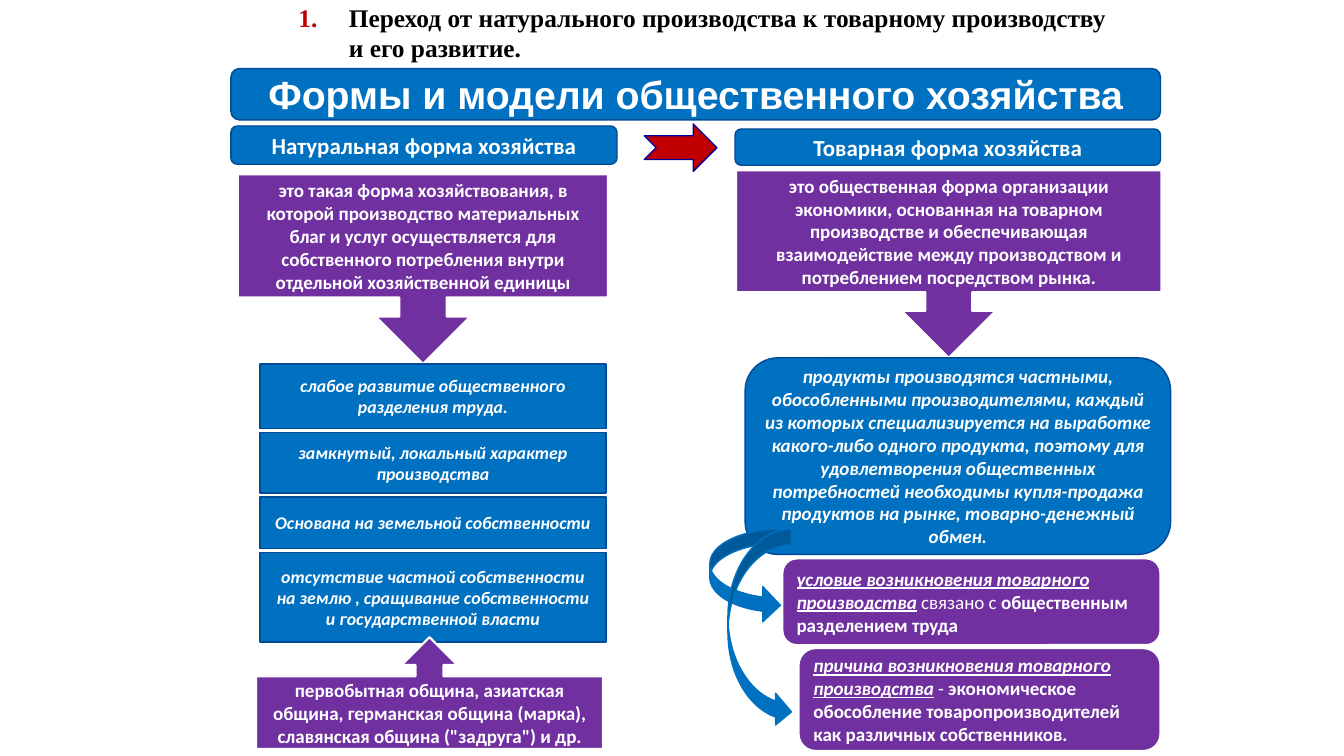
from dataclasses import dataclass

from lxml import etree
from pptx import Presentation
from pptx.dml.color import RGBColor
from pptx.enum.shapes import MSO_SHAPE
from pptx.enum.text import MSO_ANCHOR, MSO_AUTO_SIZE, PP_ALIGN
from pptx.oxml.ns import qn
from pptx.util import Inches, Pt

RECT, ROUND = MSO_SHAPE.RECTANGLE, MSO_SHAPE.ROUNDED_RECTANGLE
DOWN, UP = MSO_SHAPE.DOWN_ARROW_CALLOUT, MSO_SHAPE.UP_ARROW_CALLOUT
NOTCH, CURVE = MSO_SHAPE.NOTCHED_RIGHT_ARROW, MSO_SHAPE.CURVED_RIGHT_ARROW
LEFT, CENTER = PP_ALIGN.LEFT, PP_ALIGN.CENTER
TOP, MIDDLE = MSO_ANCHOR.TOP, MSO_ANCHOR.MIDDLE
FIXED = MSO_AUTO_SIZE.NONE


@dataclass(frozen=True)
class Theme:
    blue: str = "0070C0"
    edge: str = "004B97"
    purple: str = "7030A0"
    white: str = "FFFFFF"
    black: str = "000000"
    red: str = "C00000"
    navy: str = "000099"
    sans: str = "Calibri"
    serif: str = "Times New Roman"
    wide: str = "Arial"
    banner: float = 28
    title: float = 18.1
    head: float = 16.4
    body: float = 13.6
    small: float = 12.7


T = Theme()
BLUE = (T.blue, T.edge, 1)
PURPLE = (T.purple, T.white, 1.5)
RED = (T.red, T.navy, 1)
PLAIN = (T.blue, T.blue, 1)


def style(font, size, name=T.sans, color=T.white, bold=True, italic=False):
    font.size, font.name = Pt(size), name
    font.bold, font.italic = bold, italic
    font.color.rgb = RGBColor.from_string(color)


def block(slide, kind, box, look):
    """Draw one filled, outlined shape."""
    shape = slide.shapes.add_shape(kind, *map(Inches, box))
    fill, line, width = look
    shape.shadow.inherit = False
    shape.fill.solid()
    shape.fill.fore_color.rgb = RGBColor.from_string(fill)
    shape.line.color.rgb = RGBColor.from_string(line)
    shape.line.width = Pt(width)
    return shape


def label(slide, kind, box, look, text, size, **font):
    """Draw a shape with centred text in one style."""
    frame = block(slide, kind, box, look).text_frame
    frame.word_wrap, frame.vertical_anchor = True, MIDDLE
    par = frame.paragraphs[0]
    par.text, par.alignment = text, CENTER
    style(par.font, size, **font)


def note(slide, box, term, link, rest):
    """Draw a purple note with an underlined term, a link and a bold ending."""
    frame = block(slide, ROUND, box, PURPLE).text_frame
    frame.word_wrap, frame.vertical_anchor = True, MIDDLE
    par = frame.paragraphs[0]
    par.alignment = LEFT
    for text, bold, mark in ((term, True, True), (link, False, False),
                             (rest, True, False)):
        run = par.add_run()
        run.text = text
        style(run.font, T.body, bold=bold, italic=mark)
        run.font.underline = mark


def heading(slide, x, y, w, h):
    """Numbered slide title."""
    title = slide.shapes.title
    title.left, title.top, title.width, title.height = map(Inches, (x, y, w, h))
    frame = title.text_frame
    frame.word_wrap, frame.auto_size, frame.vertical_anchor = True, FIXED, TOP
    par = frame.paragraphs[0]
    par.text = ("Переход от натурального производства к товарному "
                "производству и его развитие.")
    par.alignment = LEFT
    props = par._p.get_or_add_pPr()
    props.set("marL", str(Inches(0.5)))
    props.set("indent", str(Inches(-0.5)))
    tint = etree.SubElement(props, qn("a:buClr"))
    etree.SubElement(tint, qn("a:srgbClr"), val=T.red)
    etree.SubElement(props, qn("a:buFont"), typeface=T.serif)
    etree.SubElement(props, qn("a:buAutoNum"), type="arabicPeriod")
    style(par.font, T.title, T.serif, T.black)


def banner(slide, x, y, w, h):
    """Topic bar and the arrow between the two forms."""
    label(slide, ROUND, (x, y, w, h), BLUE,
          "Формы и модели общественного хозяйства", T.banner, name=T.wide)
    block(slide, NOTCH, (x + 4.1, y + 0.55, 0.72, 0.47), RED)


def natural(slide, x, y, w):
    """Left column: natural economy."""
    label(slide, ROUND, (x, y, w, 0.38), BLUE,
          "Натуральная форма хозяйства", T.head)
    label(slide, DOWN, (x + 0.07, y + 0.48, w - 0.16, 1.88), PURPLE,
          "это такая форма хозяйствования, в которой производство "
          "материальных благ и услуг осуществляется для собственного "
          "потребления внутри отдельной хозяйственной единицы", T.body)

    # Stack of features with equal gaps
    top = y + 2.36
    for high, text in (
        (0.64, "слабое развитие общественного разделения труда."),
        (0.6, "замкнутый, локальный характер производства"),
        (0.51, "Основана на земельной собственности"),
        (0.89, "отсутствие частной собственности на землю , сращивание "
               "собственности и государственной власти"),
    ):
        label(slide, RECT, (x + 0.29, top, w - 0.4, high), BLUE,
              text, T.small, italic=True)
        top += high + 0.04

    label(slide, UP, (x + 0.25, y + 5.07, w - 0.39, 1.11), PURPLE,
          "первобытная община, азиатская община, германская община (марка), "
          "славянская община (\"задруга\") и др.", T.body)


def market(slide, x, y, w):
    """Right column: commodity economy."""
    label(slide, ROUND, (x, y, w, 0.36), BLUE,
          "Товарная форма хозяйства", T.head)
    label(slide, DOWN, (x + 0.01, y + 0.41, w, 1.86), PURPLE,
          "это общественная форма организации экономики, основанная на "
          "товарном производстве и обеспечивающая взаимодействие между "
          "производством и потреблением посредством рынка.", T.body)
    label(slide, ROUND, (x + 0.1, y + 2.27, w, 1.95), BLUE,
          "продукты производятся частными, обособленными производителями, "
          "каждый из которых специализируется на выработке какого-либо "
          "одного продукта, поэтому для удовлетворения общественных "
          "потребностей необходимы купля-продажа продуктов на рынке, "
          "товарно-денежный обмен.", T.body, italic=True)

    # Notes with the arrows that lead to them
    note(slide, (x + 0.47, y + 4.26, w - 0.47, 0.86),
         "условие возникновения товарного производства", " связано с ",
         "общественным разделением труда")
    short = block(slide, CURVE, (x - 0.25, y + 3.97, 0.7, 0.93), PLAIN)
    short.adjustments[0] = 0.2
    note(slide, (x + 0.63, y + 5.15, w - 0.63, 1.02),
         "причина возникновения товарного производства", " - ",
         "экономическое обособление товаропроизводителей как различных "
         "собственников.")
    block(slide, CURVE, (x - 0.07, y + 3.97, 0.63, 1.97), PLAIN)


def main():
    deck = Presentation()
    deck.slide_width, deck.slide_height = Inches(13.33), Inches(7.5)
    slide = deck.slides.add_slide(deck.slide_layouts[5])
    heading(slide, 2.86, -0.03, 8.36, 0.71)
    banner(slide, 2.29, 0.68, 9.22, 0.51)
    natural(slide, 2.29, 1.25, 3.83)
    market(slide, 7.29, 1.28, 4.22)
    deck.save("out.pptx")


if __name__ == "__main__":
    main()
